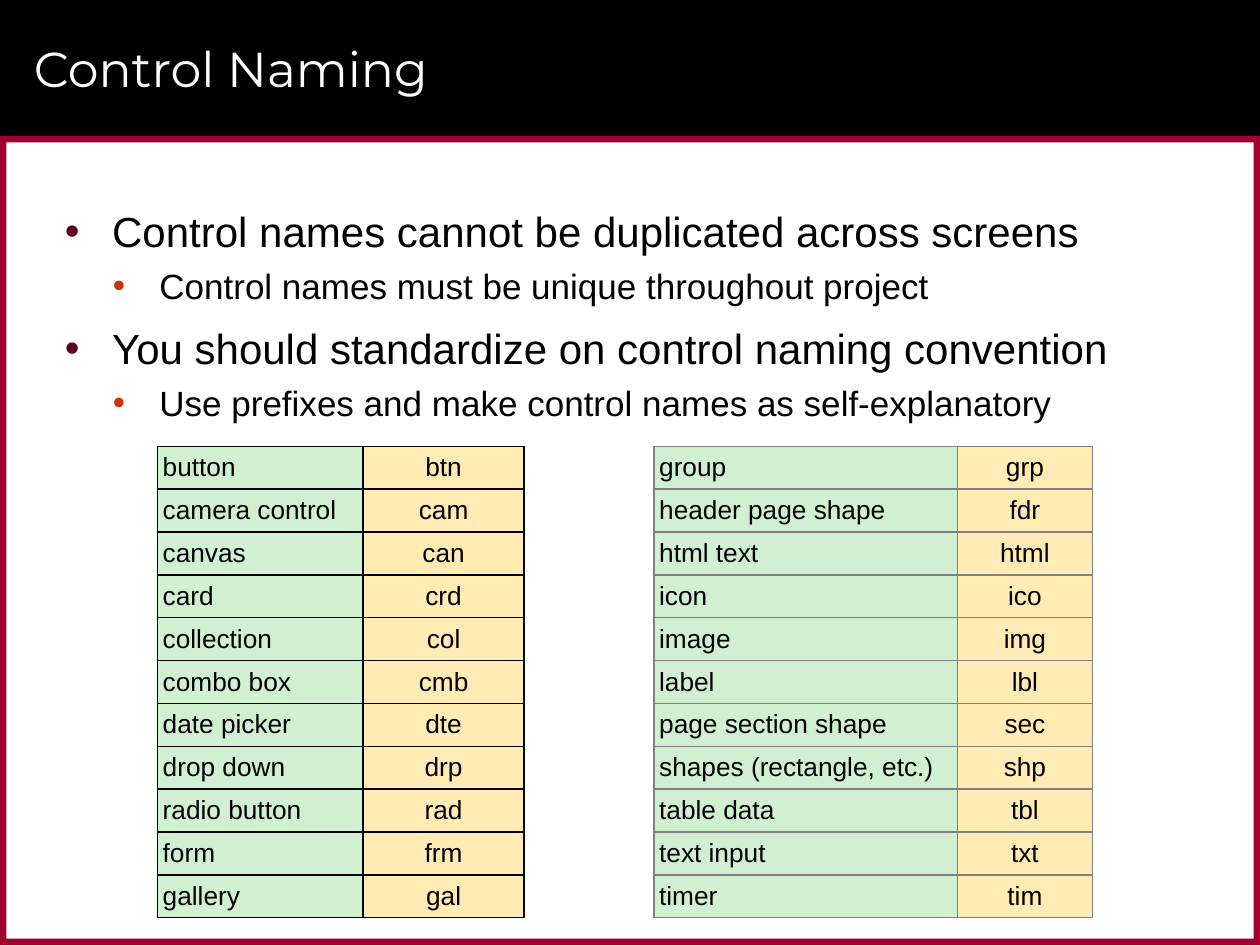
from lxml.etree import SubElement
from pptx import Presentation
from pptx.dml.color import RGBColor
from pptx.enum.shapes import MSO_SHAPE
from pptx.enum.text import MSO_ANCHOR, PP_ALIGN
from pptx.oxml.ns import qn
from pptx.util import Pt

WIDTH, HEIGHT = 720, 540
HEADER_HEIGHT = 77.76
RULE = 3.6
BLACK, WHITE, CRIMSON = "000000", "FFFFFF", "9F002D"
GREEN, CREAM, GRAY = "D1F0D1", "FFEBB3", "808080"

LEVELS = [
    dict(size=24, margin=27, indent=-27, before=6, after=2, bullet="60001B"),
    dict(size=20, margin=54, indent=-26.6, before=3, after=3, bullet="CC3300"),
]
POINTS = [
    (0, "Control names cannot be duplicated across screens"),
    (1, "Control names must be unique throughout project"),
    (0, "You should standardize on control naming convention"),
    (1, "Use prefixes and make control names as self-explanatory"),
]
PREFIXES_A_TO_G = [
    ("button", "btn"), ("camera control", "cam"), ("canvas", "can"),
    ("card", "crd"), ("collection", "col"), ("combo box", "cmb"),
    ("date picker", "dte"), ("drop down", "drp"), ("radio button", "rad"),
    ("form", "frm"), ("gallery", "gal"),
]
PREFIXES_G_TO_T = [
    ("group", "grp"), ("header page shape", "fdr"), ("html text", "html"),
    ("icon", "ico"), ("image", "img"), ("label", "lbl"),
    ("page section shape", "sec"), ("shapes (rectangle, etc.)", "shp"),
    ("table data", "tbl"), ("text input", "txt"), ("timer", "tim"),
]


def rgb(value):
    return RGBColor.from_string(value)


def style(paragraph, size, font, color):
    for run in paragraph.runs:
        run.font.size = Pt(size)
        run.font.name = font
        run.font.color.rgb = rgb(color)


def add_band(slide, left, top, width, height, color):
    band = slide.shapes.add_shape(
        MSO_SHAPE.RECTANGLE, Pt(left), Pt(top), Pt(width), Pt(height))
    band.shadow.inherit = False
    band.fill.solid()
    band.fill.fore_color.rgb = rgb(color)
    band.line.fill.background()


def add_frame(slide, left, top, width, height):
    right, bottom = left + width - RULE, top + height - RULE
    add_band(slide, left, top, width, RULE, CRIMSON)
    add_band(slide, left, bottom, width, RULE, CRIMSON)
    add_band(slide, right, top, RULE, height, CRIMSON)
    add_band(slide, left, top, RULE, height, CRIMSON)


def add_text_frame(slide, left, top, width, height):
    box = slide.shapes.add_textbox(Pt(left), Pt(top), Pt(width), Pt(height))
    box.text_frame.word_wrap = True
    return box.text_frame


def add_header(slide, left, top, width, height):
    add_band(slide, left, top, width, height, BLACK)
    title = add_text_frame(slide, left + 12.24, top + 5.76, 678.24, 66.24)
    title.vertical_anchor = MSO_ANCHOR.MIDDLE
    title.text = "Control Naming"
    style(title.paragraphs[0], 28, "Montserrat", WHITE)


def add_bullet(paragraph, level):
    properties = paragraph._p.get_or_add_pPr()
    properties.set("marL", str(Pt(level["margin"])))
    properties.set("indent", str(Pt(level["indent"])))
    color = SubElement(properties, qn("a:buClr"))
    SubElement(color, qn("a:srgbClr"), val=level["bullet"])
    SubElement(properties, qn("a:buFont"), typeface="Arial")
    SubElement(properties, qn("a:buChar"), char="•")


def add_points(slide, left, top, width, height):
    body = add_text_frame(slide, left, top, width, height)
    body.text = "\n".join(text for _, text in POINTS)
    for paragraph, (depth, _) in zip(body.paragraphs, POINTS):
        level = LEVELS[depth]
        paragraph.level = depth
        paragraph.space_before = Pt(level["before"])
        paragraph.space_after = Pt(level["after"])
        add_bullet(paragraph, level)
        style(paragraph, level["size"], "Arial", BLACK)


def set_borders(cell, color):
    properties = cell._tc.get_or_add_tcPr()
    for position, side in enumerate(("a:lnL", "a:lnR", "a:lnT", "a:lnB")):
        border = properties.makeelement(qn(side), {"w": str(Pt(1))})
        fill = SubElement(border, qn("a:solidFill"))
        SubElement(fill, qn("a:srgbClr"), val=color)
        properties.insert(position, border)


def add_prefix_table(slide, left, top, widths, height, prefixes, border):
    table = slide.shapes.add_table(
        len(prefixes), len(widths),
        Pt(left), Pt(top), Pt(sum(widths)), Pt(height)).table
    table.first_row = False
    table.horz_banding = False
    for column, width in zip(table.columns, widths):
        column.width = Pt(width)
    looks = ((GREEN, PP_ALIGN.LEFT), (CREAM, PP_ALIGN.CENTER))
    for row, entry in zip(table.rows, prefixes):
        row.height = Pt(height / len(prefixes))
        for cell, text, (color, alignment) in zip(row.cells, entry, looks):
            cell.text_frame.text = text
            cell.margin_left = cell.margin_right = Pt(3)
            cell.margin_top = cell.margin_bottom = Pt(3)
            cell.vertical_anchor = MSO_ANCHOR.MIDDLE
            cell.fill.solid()
            cell.fill.fore_color.rgb = rgb(color)
            set_borders(cell, border)
            paragraph = cell.text_frame.paragraphs[0]
            paragraph.alignment = alignment
            style(paragraph, 15, "Arial", BLACK)


def main():
    presentation = Presentation()
    presentation.slide_width = Pt(WIDTH)
    presentation.slide_height = Pt(HEIGHT)
    slide = presentation.slides.add_slide(presentation.slide_layouts[6])
    slide.background.fill.solid()
    slide.background.fill.fore_color.rgb = rgb(WHITE)

    add_header(slide, 0, 0, WIDTH, HEADER_HEIGHT)
    add_frame(slide, 0, HEADER_HEIGHT, WIDTH, HEIGHT - HEADER_HEIGHT)
    add_points(slide, 30, 114, 660, 408)
    add_prefix_table(
        slide, 90, 255, (117.5, 92), 269.5, PREFIXES_A_TO_G, BLACK)
    add_prefix_table(
        slide, 373.7, 255, (173.5, 77), 269.5, PREFIXES_G_TO_T, GRAY)
    presentation.save("out.pptx")


if __name__ == "__main__":
    main()
